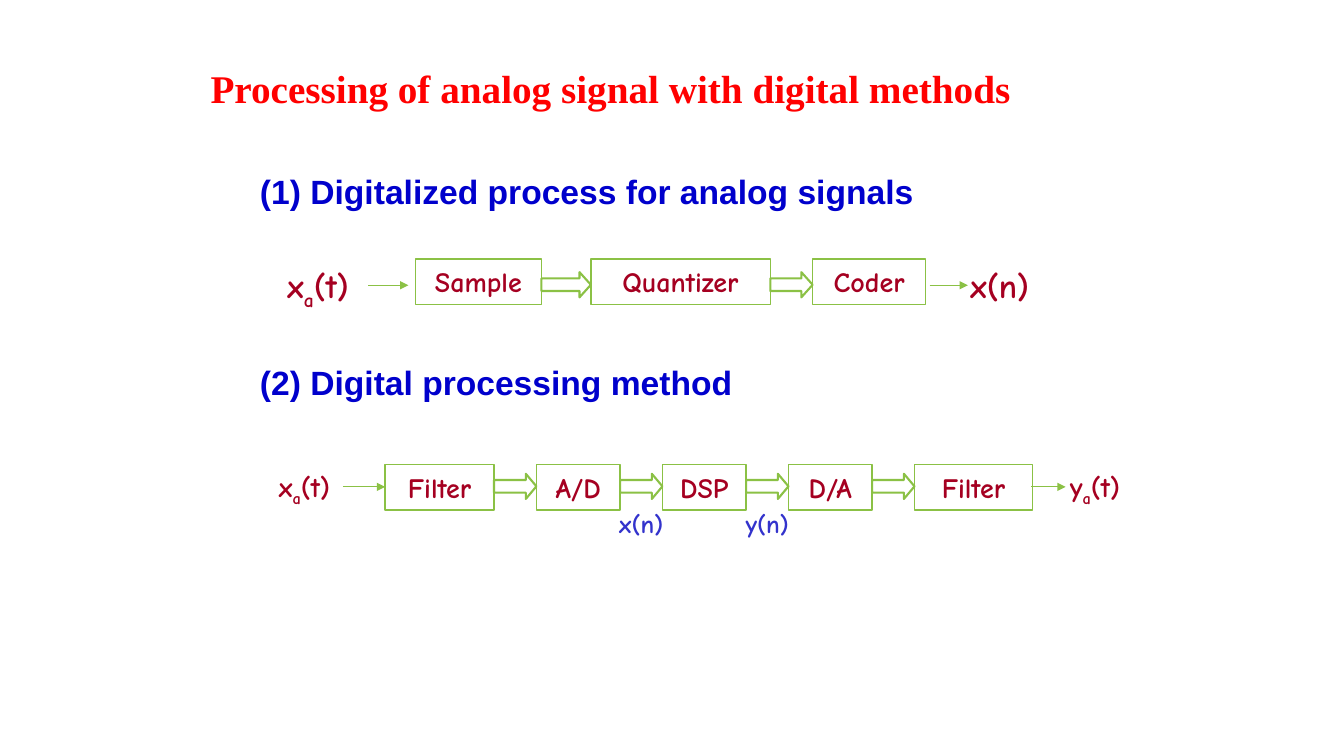
from lxml import etree
from pptx import Presentation
from pptx.dml.color import RGBColor
from pptx.enum.shapes import MSO_CONNECTOR as Connector, MSO_SHAPE as Shape
from pptx.enum.text import MSO_ANCHOR as Anchor, PP_ALIGN as Align
from pptx.oxml.ns import qn
from pptx.util import Inches, Pt

GREEN, CRIMSON, BLUE, NAVY, RED = "8BC145", "A50021", "3333CC", "0000CC", "FF0000"


def color(hex_string):
    return RGBColor.from_string(hex_string)


def write(box, text, size, font, hex_string, align=Align.CENTER, spacing=1.0):
    """Fill a box with one bold line; a part after each "_" is one subscript letter."""
    box.text_frame.word_wrap = True
    para = box.text_frame.paragraphs[0]
    para.alignment = align
    para.line_spacing = spacing
    base, _, rest = text.partition("_")
    for part, lowered in ((base, False), (rest[:1], True), (rest[1:], False)):
        if not part:
            continue
        span = para.add_run()
        span.text = part
        span.font.size = Pt(size)
        span.font.name = font
        span.font.bold = True
        span.font.color.rgb = color(hex_string)
        if lowered:
            span.font._element.set("baseline", "-25000")


deck = Presentation()
deck.slide_width, deck.slide_height = Inches(13.33), Inches(7.5)
page = deck.slides.add_slide(deck.slide_layouts[6])

# Title and headings: text, left, top, width, height, size, font, colour, line spacing
headings = [
    ("Processing of analog signal with digital methods",
     1.99, 0.45, 9.91, 0.71, 28, "Times New Roman", RED, 1.3),
    ("(1) Digitalized process for analog signals",
     2.48, 1.49, 7.59, 0.6, 24, "Arial", NAVY, 1.4),
    ("(2) Digital processing method",
     2.48, 3.38, 5.33, 0.6, 24, "Arial", NAVY, 1.4),
]
for text, left, top, width, height, size, font, ink, spacing in headings:
    box = page.shapes.add_textbox(Inches(left), Inches(top), Inches(width), Inches(height))
    write(box, text, size, font, ink, Align.LEFT, spacing)

# Signal labels: text, left, top, width, height, size, colour
signals = [
    ("x_a(t)", 2.53, 2.58, 1.25, 0.5, 24, CRIMSON),
    ("x(n)", 9.29, 2.58, 1.25, 0.5, 24, CRIMSON),
    ("x_a(t)", 2.48, 4.61, 1.08, 0.43, 20, CRIMSON),
    ("y_a(t)", 10.32, 4.61, 1.08, 0.43, 20, CRIMSON),
    ("x(n)", 5.82, 4.99, 1.08, 0.4, 18, BLUE),
    ("y(n)", 7.07, 4.99, 1.08, 0.4, 18, BLUE),
]
for text, left, top, width, height, size, ink in signals:
    box = page.shapes.add_textbox(Inches(left), Inches(top), Inches(width), Inches(height))
    write(box, text, size, "Comic Neue", ink)

# Chains: top of blocks, top of block arrows, arrowhead ratio, blocks (text, left, width)
chains = [
    (2.57, 2.7, 0.45,
     [("Sample", 4.12, 1.25), ("Quantizer", 5.86, 1.78), ("Coder", 8.06, 1.12)]),
    (4.61, 4.7, 0.42,
     [("Filter", 3.82, 1.08), ("A/D", 5.32, 0.83), ("DSP", 6.57, 0.83),
      ("D/A", 7.82, 0.83), ("Filter", 9.07, 1.17)]),
]
for top, arrow_top, head_ratio, blocks in chains:
    outlines = []
    for text, left, width in blocks:
        block = page.shapes.add_shape(
            Shape.RECTANGLE, Inches(left), Inches(top), Inches(width), Inches(0.45))
        block.text_frame.vertical_anchor = Anchor.MIDDLE
        write(block, text, 20, "Comic Neue", CRIMSON)
        outlines.append((block, 1))
    for (_, left, width), (_, next_left, _) in zip(blocks, blocks[1:]):
        arrow = page.shapes.add_shape(
            Shape.RIGHT_ARROW, Inches(left + width), Inches(arrow_top),
            Inches(next_left - left - width), Inches(0.25))
        arrow.adjustments[1] = head_ratio
        outlines.append((arrow, 1.5))
    for outline, weight in outlines:
        outline.shadow.inherit = False
        outline.fill.background()
        outline.line.color.rgb = color(GREEN)
        outline.line.width = Pt(weight)

# Thin arrows into and out of each chain: start, end, height on the page
for start, end, y in [(3.65, 4.05, 2.83), (9.22, 9.6, 2.83),
                      (3.4, 3.82, 4.83), (10.23, 10.57, 4.83)]:
    wire = page.shapes.add_connector(
        Connector.STRAIGHT, Inches(start), Inches(y), Inches(end), Inches(y))
    wire.line.color.rgb = color(GREEN)
    wire.line.width = Pt(0.75)
    etree.SubElement(wire.line._get_or_add_ln(), qn("a:tailEnd"), type="triangle")
    etree.SubElement(wire._element.spPr, qn("a:effectLst"))

deck.save("out.pptx")
